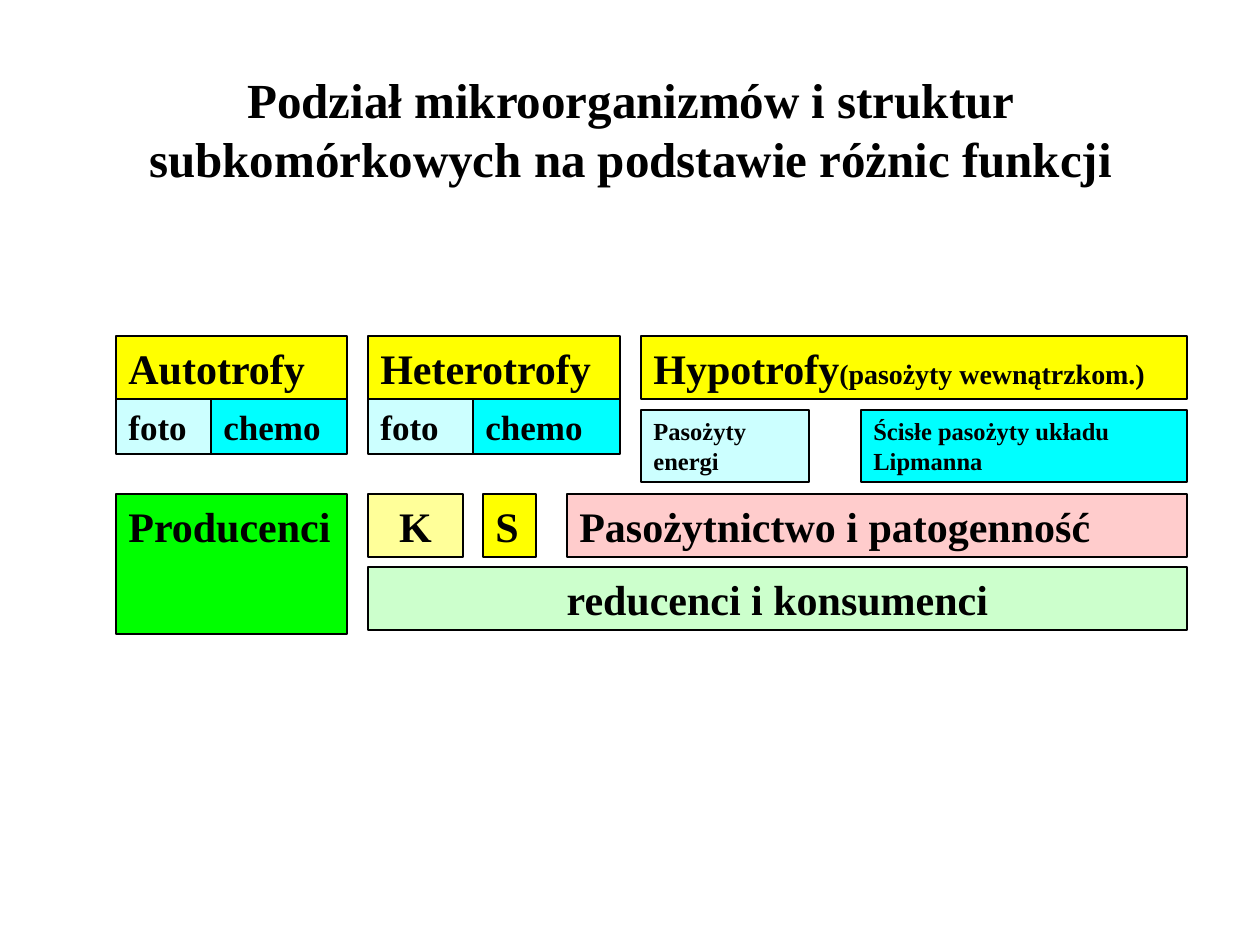
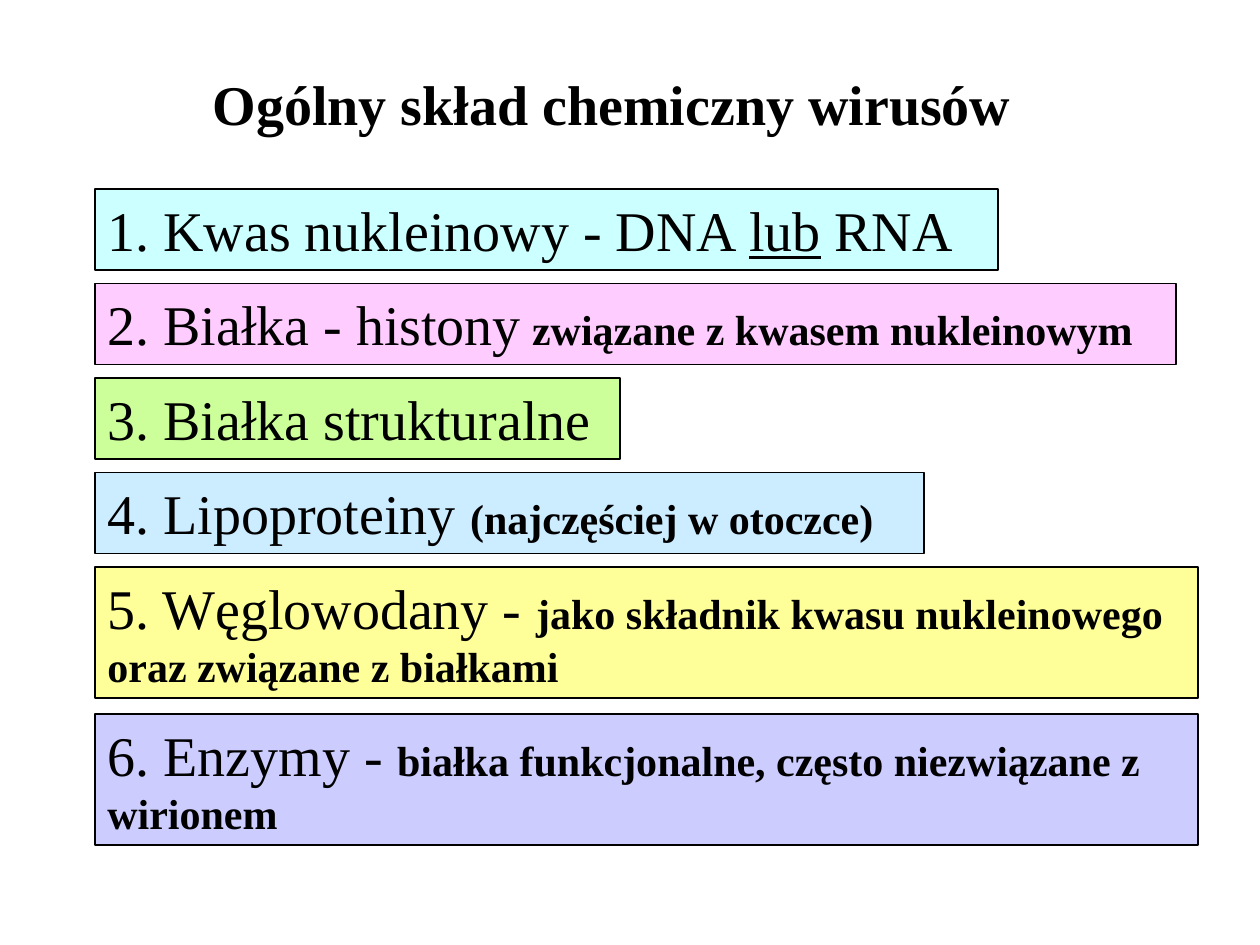
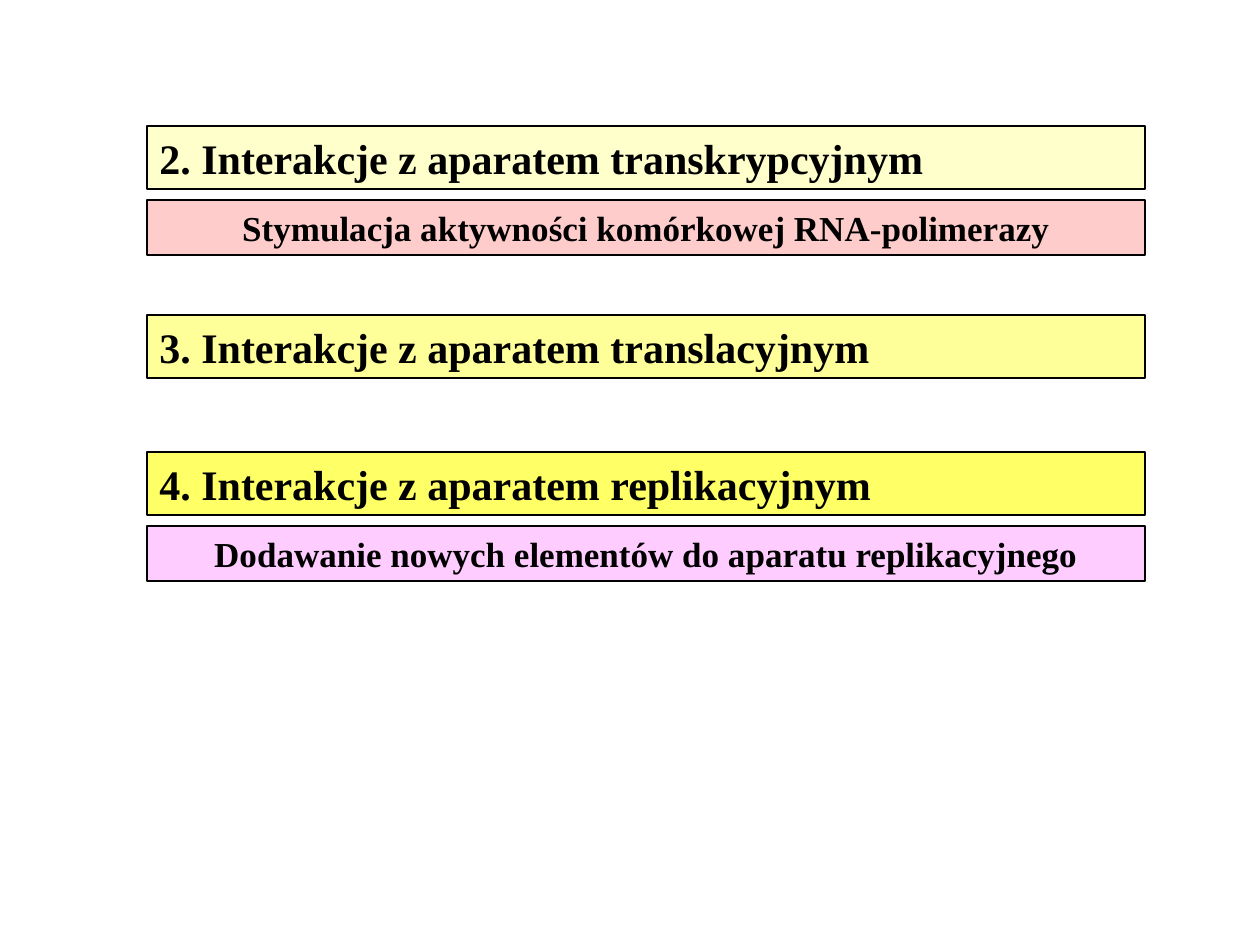
from pptx import Presentation
from pptx.dml.color import RGBColor
from pptx.enum.shapes import MSO_SHAPE as Shape
from pptx.enum.text import MSO_ANCHOR as Anchor, MSO_AUTO_SIZE as Fit, PP_ALIGN as Align
from pptx.util import Emu, Pt

FONT = "Times New Roman"
BLACK = RGBColor(0x00, 0x00, 0x00)
YELLOW = RGBColor(0xFF, 0xFF, 0x00)
LEMON = RGBColor(0xFF, 0xFF, 0x66)
STRAW = RGBColor(0xFF, 0xFF, 0x99)
CREAM = RGBColor(0xFF, 0xFF, 0xCC)
CYAN = RGBColor(0x00, 0xFF, 0xFF)
ICE = RGBColor(0xCC, 0xFF, 0xFF)
SKY = RGBColor(0xCC, 0xEC, 0xFF)
GREEN = RGBColor(0x00, 0xFF, 0x00)
MINT = RGBColor(0xCC, 0xFF, 0xCC)
LIME = RGBColor(0xCC, 0xFF, 0x99)
ROSE = RGBColor(0xFF, 0xCC, 0xCC)
PINK = RGBColor(0xFF, 0xCC, 0xFF)
LILAC = RGBColor(0xCC, 0xCC, 0xFF)

LEFT, CENTER = Align.LEFT, Align.CENTER
HEAD, SUB = 63, 55  # height of a box with one line at 24 pt and at 20 pt

# Slide 1
SPLIT_TITLE = "Podział mikroorganizmów i struktur subkomórkowych na podstawie różnic funkcji"
COL1, COL2, COL3, END = 116, 368, 641, 1187
ROW1, ROW2, ROW3, ROW4 = 336, 399, 494, 567
# name, left, width, width of the "foto" part
TROPHS = [("Autotrofy", COL1, 231, 95), ("Heterotrofy", COL2, 252, 105)]
HYPO = [("Hypotrofy", 24, True, False), ("(pasożyty wewnątrzkom.)", 16, True, False)]
# text, left, width, fill
HOSTS = [("Pasożyty energi", COL3, 168, ICE),
         ("Ścisłe pasożyty układu Lipmanna", 861, END - 861, CYAN)]
# text, left, top, width, height, fill, alignment
ROLES = [
    ("Producenci", COL1, ROW3, 231, 140, GREEN, LEFT),
    ("reducenci i konsumenci", COL2, ROW4, END - COL2, HEAD, MINT, CENTER),
    ("Pasożytnictwo i patogenność", 567, ROW3, END - 567, HEAD, ROSE, LEFT),
    ("K", COL2, ROW3, 95, HEAD, STRAW, CENTER),
    ("S", 483, ROW3, 53, HEAD, YELLOW, LEFT),
]

# Slide 2
VIRUS_TITLE = "Ogólny skład chemiczny wirusów"
# term, detail, width, lines, fill
PARTS = [
    ("1. Kwas nukleinowy - DNA ", "", 903, 1, ICE),
    ("2. Białka - histony", "związane z kwasem nukleinowym", 1081, 1, PINK),
    ("3. Białka strukturalne", "", 525, 1, LIME),
    ("4. Lipoproteiny ", "(najczęściej w otoczce)", 829, 1, SKY),
    ("5. Węglowodany - ", "jako składnik kwasu nukleinowego oraz związane z białkami",
     1103, 2, STRAW),
    ("6. Enzymy - ", "białka funkcjonalne, często niezwiązane z wirionem", 1103, 2, LILAC),
]
EXTRA = {
    0: [("lub", 32, False, True), (" RNA", 32, False, False)],
    1: [(" ", 24, False, False)],
}
HEIGHT = {1: 81, 2: 131}
PITCH = {1: 189 / 2, 2: 147}

# Slide 3: top, head, fill, detail, fill
STEPS = [
    (126, "2. Interakcje z aparatem transkrypcyjnym", CREAM,
     "Stymulacja aktywności komórkowej RNA-polimerazy", ROSE),
    (315, "3. Interakcje z aparatem translacyjnym", STRAW, "", None),
    (452, "4. Interakcje z aparatem replikacyjnym", LEMON,
     "Dodawanie nowych elementów do aparatu replikacyjnego", PINK),
]


def px(n):
    return Emu(round(n * 914400 / 126))


def write(shape, text, size, align):
    """Fill a shape with a string, or with (text, size, bold, underline) runs."""
    frame = shape.text_frame
    frame.word_wrap = True
    frame.auto_size = Fit.NONE
    frame.vertical_anchor = Anchor.TOP
    para = frame.paragraphs[0]
    para.alignment = align
    font = para.font
    font.name = FONT
    font.color.rgb = BLACK
    if isinstance(text, str):
        para.add_run().text = text
        font.size, font.bold = Pt(size), True
        return
    for words, pts, bold, under in text:
        run = para.add_run()
        run.text = words
        run.font.size, run.font.bold = Pt(pts), bold
        if under:
            run.font.underline = True


def add_box(slide, text, left, top, width, height, fill, size=24, align=LEFT):
    box = slide.shapes.add_shape(Shape.RECTANGLE, px(left), px(top), px(width), px(height))
    box.shadow.inherit = False
    box.fill.solid()
    box.fill.fore_color.rgb = fill
    box.line.color.rgb = BLACK
    box.line.width = Pt(0.75)
    write(box, text, size, align)


def add_title(slide, text, left, width, height, size, align):
    title = slide.shapes.title
    title.left, title.top, title.width, title.height = px(left), px(63), px(width), px(height)
    write(title, text, size, align)


def add_split(deck):
    slide = deck.slides.add_slide(deck.slide_layouts[5])
    add_title(slide, SPLIT_TITLE, 95, 1071, 131, 28, CENTER)
    for name, left, width, foto in TROPHS:
        add_box(slide, name, left, ROW1, width, HEAD, YELLOW)
        add_box(slide, "foto", left, ROW2, foto, SUB, ICE, 20)
        add_box(slide, "chemo", left + foto, ROW2, width - foto, SUB, CYAN, 20)
    add_box(slide, HYPO, COL3, ROW1, END - COL3, HEAD, YELLOW)
    for text, left, width, fill in HOSTS:
        add_box(slide, text, left, 410, width, 72, fill, 14)
    for text, left, top, width, height, fill, align in ROLES:
        add_box(slide, text, left, top, width, height, fill, align=align)


def add_virus(deck):
    slide = deck.slides.add_slide(deck.slide_layouts[5])
    add_title(slide, VIRUS_TITLE, 200, 840, 81, 32, LEFT)
    top = 189
    for i, (term, detail, width, lines, fill) in enumerate(PARTS):
        runs = [(term, 32, False, False)] + EXTRA.get(i, [])
        if detail:
            runs.append((detail, 24, True, False))
        add_box(slide, runs, 95, top, width, HEIGHT[lines], fill)
        top += PITCH[lines]


def add_steps(deck):
    slide = deck.slides.add_slide(deck.slide_layouts[6])
    for top, head, fill, detail, tint in STEPS:
        add_box(slide, head, 147, top, 998, HEAD, fill)
        if detail:
            add_box(slide, detail, 147, top + 74, 998, SUB, tint, 20, CENTER)


def main():
    deck = Presentation()
    deck.slide_width, deck.slide_height = px(1260), px(945)
    add_split(deck)
    add_virus(deck)
    add_steps(deck)
    deck.save("out.pptx")


if __name__ == "__main__":
    main()
